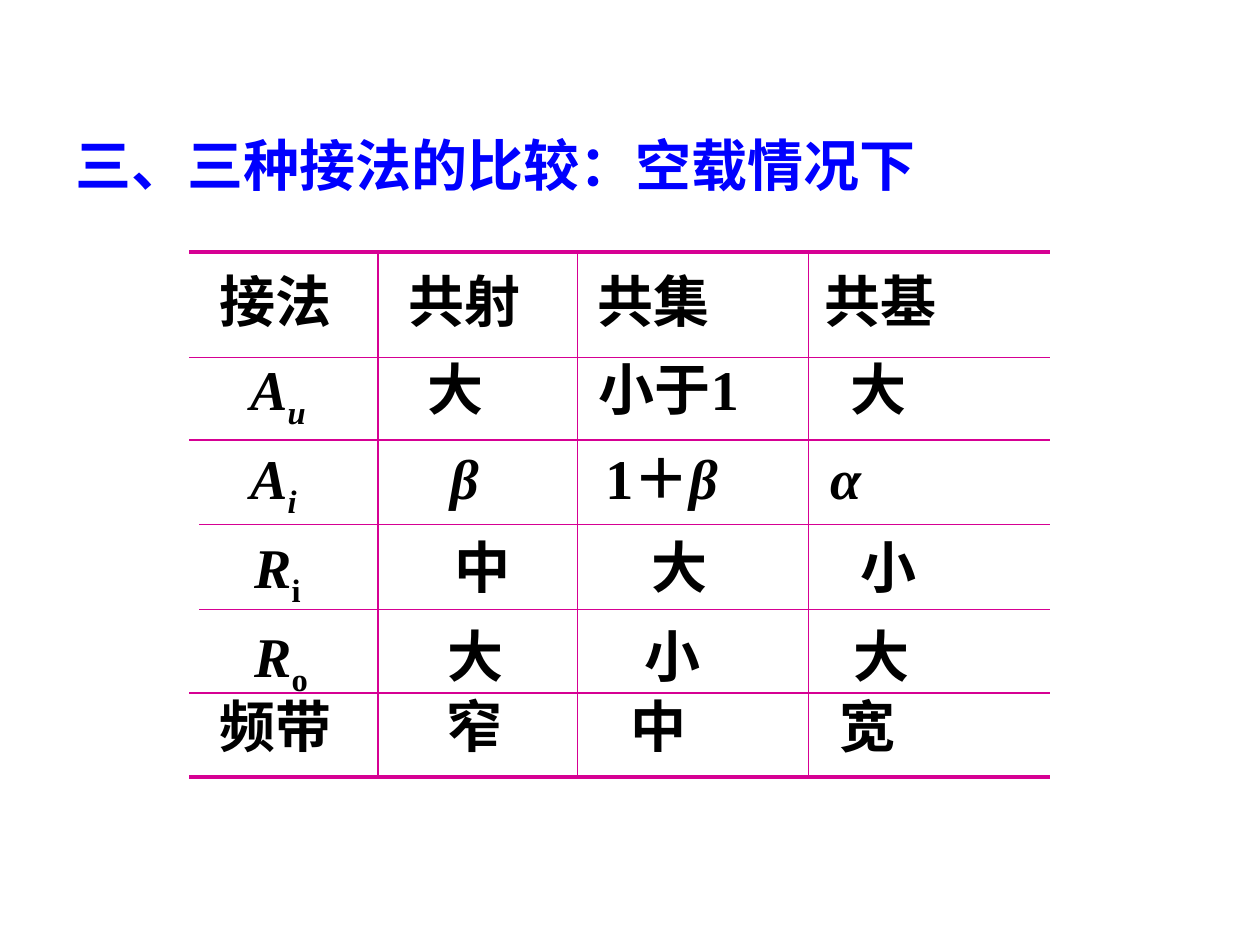
from lxml.etree import SubElement
from pptx import Presentation
from pptx.dml.color import RGBColor
from pptx.enum.shapes import MSO_CONNECTOR
from pptx.enum.text import MSO_ANCHOR, MSO_AUTO_SIZE, PP_ALIGN
from pptx.oxml.ns import qn
from pptx.util import Cm, Pt

COLORS = {"title": "0000FF", "text": "000000", "rule": "D60093"}


def add_run(paragraph, text, color, italic=False, subscript=False):
    run = paragraph.add_run()
    run.text = text
    font = run.font
    font.name, font.size, font.bold, font.italic = "Times New Roman", Pt(32), True, italic
    font.color.rgb = RGBColor.from_string(COLORS[color])
    if subscript:
        run._r.get_or_add_rPr().set("baseline", "-25000")
    return run


def add_rule(x1, y1, x2, y2, width):
    line = slide.shapes.add_connector(
        MSO_CONNECTOR.STRAIGHT, Cm(x1), Cm(y1), Cm(x2), Cm(y2))
    line.line.color.rgb = RGBColor.from_string(COLORS["rule"])
    line.line.width = Pt(width)
    SubElement(line._element.spPr, qn("a:effectLst"))


presentation = Presentation()
presentation.slide_width, presentation.slide_height = Cm(25.4), Cm(19.05)
slide = presentation.slides.add_slide(presentation.slide_layouts[1])

title = slide.shapes.title
title.left, title.top, title.width, title.height = Cm(1.27), Cm(2.33), Cm(21.84), Cm(1.95)
title.text_frame.auto_size = MSO_AUTO_SIZE.NONE
title.text_frame.vertical_anchor = MSO_ANCHOR.MIDDLE
heading = title.text_frame.paragraphs[0]
heading.alignment = PP_ALIGN.LEFT
add_run(heading, "三、三种接法的比较：空载情况下", "title")

# Each row: space before, left indent in cm, and its parts.
# A part is (text, italic, subscript), or a number: the tracking in points
# of the one space between two columns.
rows = [
    (8, 0.99, [("接法", False, False), 36.5, ("共射", False, False), 36.5,
               ("共集", False, False), 58.4, ("共基", False, False)]),
    (16, 1.61, [("A", True, False), ("u", True, True), 61.7, ("大", False, False), 58.4,
                ("小于1", False, False), 56, ("大", False, False)]),
    (16, 1.61, [("A", True, False), ("i", True, True), 80, ("β", True, False), 64,
                ("1＋", False, False), ("β", True, False), 56, ("α", True, False)]),
    (16, 1.69, [("R", True, False), ("i", False, True), 80, ("中", False, False), 73,
                ("大", False, False), 80.3, ("小", False, False)]),
    (16, 1.69, [("R", True, False), ("o", False, True), 72, ("大", False, False), 73,
                ("小", False, False), 80.3, ("大", False, False)]),
    (8, 0.99, [("频带", False, False), 58.4, ("窄", False, False), 65.7,
               ("中", False, False), 80.3, ("宽", False, False)]),
]

body = slide.placeholders[1]
body.left, body.top, body.width, body.height = Cm(3.18), Cm(5.51), Cm(21.16), Cm(10.16)
frame = body.text_frame
frame.auto_size = MSO_AUTO_SIZE.NONE
for index, (space_before, indent, parts) in enumerate(rows):
    paragraph = frame.add_paragraph() if index else frame.paragraphs[0]
    paragraph.line_spacing = 0.8
    paragraph.space_before = Pt(space_before)
    properties = paragraph._p.get_or_add_pPr()
    properties.set("marL", str(Cm(indent)))
    properties.set("indent", "0")
    SubElement(properties, qn("a:buNone"))
    for part in parts:
        if isinstance(part, tuple):
            add_run(paragraph, part[0], "text", part[1], part[2])
        else:
            gap = add_run(paragraph, " ", "text")
            gap._r.get_or_add_rPr().set("spc", str(round(part * 100)))

left, right, top, bottom = 3.81, 21.17, 5.08, 15.66
for y, inset, width in [(top, 0, 2.25), (7.2, 0, 0.75), (8.87, 0, 0.75),
                        (10.58, 0.21, 0.75), (12.28, 0.21, 0.75),
                        (13.97, 0, 0.75), (bottom, 0, 2.25)]:
    add_rule(left + inset, y, right, y, width)
for x in (7.62, 11.64, 16.3):
    add_rule(x, top, x, bottom, 0.75)

presentation.save("out.pptx")
